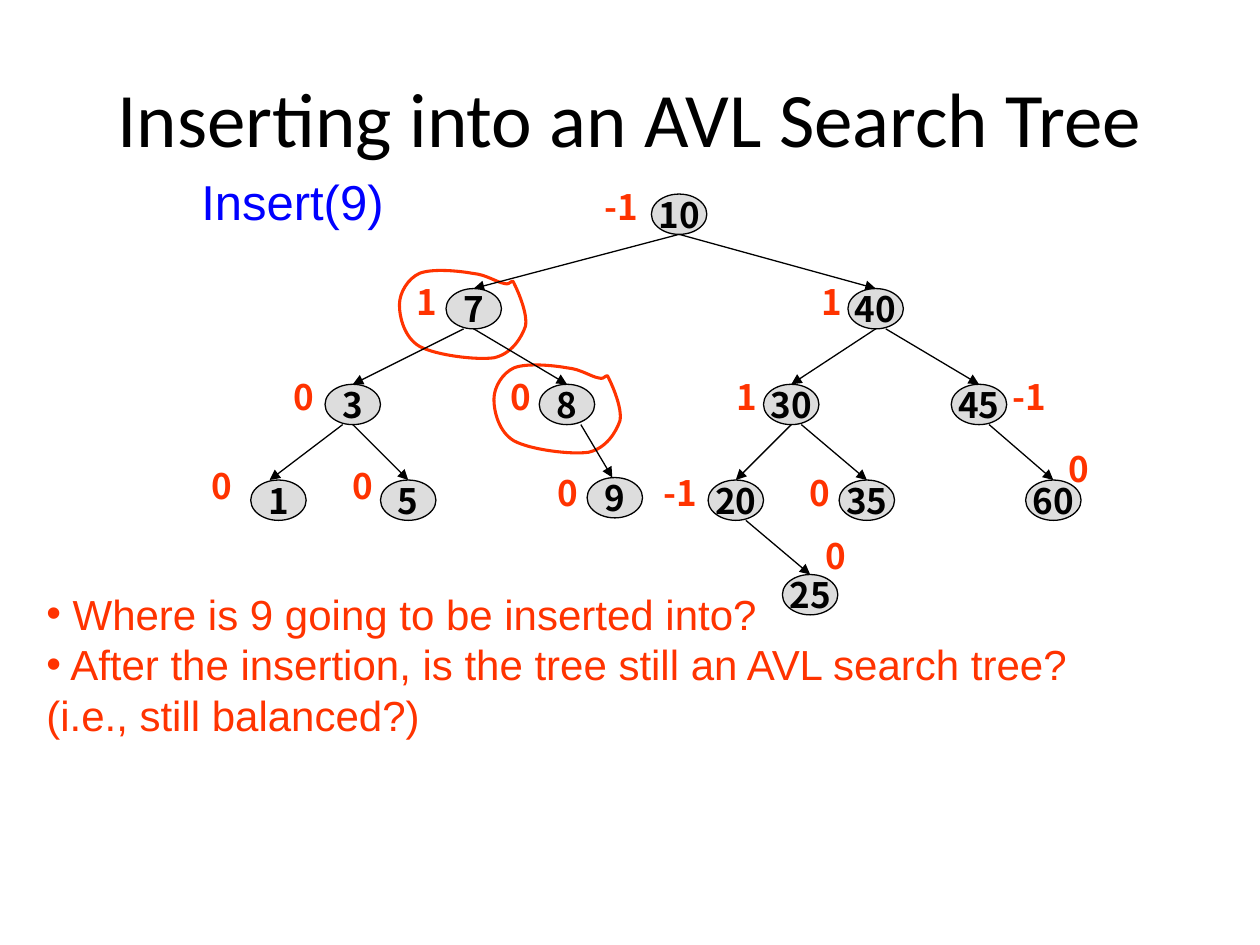
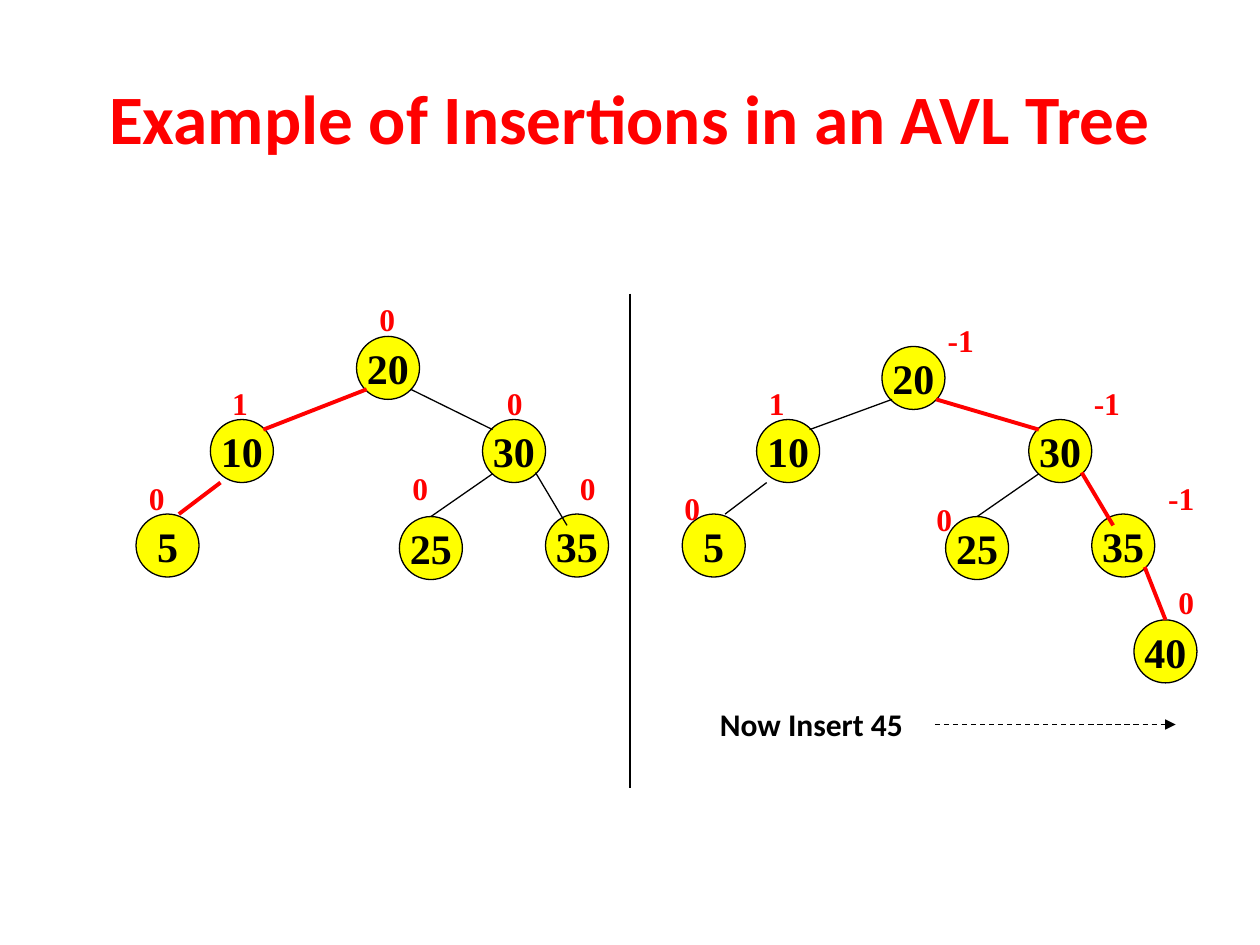
from lxml.etree import SubElement
from pptx import Presentation
from pptx.dml.color import RGBColor
from pptx.enum.dml import MSO_LINE
from pptx.enum.shapes import MSO_CONNECTOR, MSO_SHAPE
from pptx.enum.text import MSO_ANCHOR, PP_ALIGN
from pptx.oxml.ns import qn
from pptx.util import Pt

PX = 9144
BLACK, RED, ORANGE = "000000", "FF0000", "FF3300"
BLUE, GREY, YELLOW = "0000FF", "DDDDDD", "FFFF00"
LEFT, CENTER = PP_ALIGN.LEFT, PP_ALIGN.CENTER

TITLE = {"name": "Calibri", "size": 44, "bold": False, "color": BLACK}
TITLE_RED = {"name": "Calibri", "size": 39.6, "bold": True, "color": RED}
INSERT = {"name": "Arial", "size": 28, "bold": False, "color": BLUE}
QUESTION = {"name": "Arial", "size": 24, "bold": False, "color": ORANGE}
KEY_GREY = {"name": "Noto Sans CJK KR", "size": 20, "bold": True, "color": BLACK}
BALANCE_ORANGE = {**KEY_GREY, "color": ORANGE}
KEY_YELLOW = {"name": "Times New Roman", "size": 24, "bold": True, "color": BLACK}
BALANCE_RED = {**KEY_YELLOW, "size": 18, "color": RED}
NEXT_STEP = {"name": "Calibri", "size": 18, "bold": True, "color": BLACK}

SEARCH_TREE = {
    "10": (517, 154), "7": (354, 229), "40": (673, 229),
    "3": (258, 305), "8": (428, 305), "30": (606, 305), "45": (755, 305),
    "1": (199, 381), "5": (302, 381), "9": (466, 379), "20": (562, 381),
    "35": (666, 381), "60": (814, 381), "25": (621, 456),
}
SEARCH_EDGES = [
    ("10", "7", 0, 0), ("10", "40", 0, 0), ("7", "3", -8, 0), ("7", "8", 0, 0),
    ("40", "30", 0, 0), ("40", "45", 8, 0), ("3", "1", -8, -7), ("3", "5", 0, 0),
    ("8", "9", 11, -2), ("30", "20", 0, 0), ("30", "35", 8, 0),
    ("45", "60", 8, 0), ("20", "25", 8, 0),
]
SEARCH_BALANCES = [
    ("-1", 470, 142), ("1", 321, 218), ("1", 642, 218), ("0", 223, 293),
    ("0", 395, 293), ("1", 575, 293), ("-1", 794, 293), ("0", 158, 364),
    ("0", 270, 364), ("0", 433, 369), ("-1", 517, 369), ("0", 633, 369),
    ("0", 838, 350), ("0", 645, 419),
]
RING_START = (58, 4)
RING_CURVES = [
    ((47, 2), (26, 0), (16, 4)), ((7, 8), (0, 19), (0, 29)),
    ((0, 39), (4, 55), (16, 62)), ((29, 69), (61, 73), (75, 71)),
    ((89, 68), (97, 55), (100, 46)), ((102, 36), (94, 18), (91, 12)),
    ((89, 7), (89, 14), (83, 12)), ((77, 11), (69, 5), (58, 4)),
]
SUBTREES = {"10": (167, 333), "30": (383, 333), "25": (317, 410),
            "35": (433, 408), "5": (108, 408)}
SUBTREE_EDGES = [
    ("20", "10", (-17, 17), (17, -17)), ("20", "30", (18, 17), (-17, -17)),
    ("30", "25", (-17, 18), (0, -25)), ("30", "35", (17, 17), (-8, -16)),
    ("10", "5", (-17, 25), (9, -25)),
]
BEFORE_BALANCES = [("0", 291, 233), ("1", 174, 300), ("0", 392, 300),
                   ("0", 317, 367), ("0", 450, 367), ("0", 108, 375)]
AFTER_BALANCES = [("-1", 742, 250), ("1", 600, 300), ("-1", 858, 300),
                  ("0", 533, 383), ("0", 733, 392), ("-1", 917, 375),
                  ("0", 925, 458)]


def px(value):
    return round(value * PX)


def rgb(color):
    return RGBColor.from_string(color)


def style_font(font, style):
    values = {**style, "size": Pt(style["size"])}
    font.color.rgb = rgb(values.pop("color"))
    for attribute, value in values.items():
        setattr(font, attribute, value)


def write_text(shape, lines, style, align, anchor, wrap):
    frame = shape.text_frame
    frame.word_wrap, frame.vertical_anchor = wrap, anchor
    for index, line in enumerate(lines):
        paragraph = frame.add_paragraph() if index else frame.paragraphs[0]
        paragraph.alignment = align
        run = paragraph.add_run()
        run.text = line
        style_font(run.font, style)
    return frame


def add_text(slide, box, lines, style, align=LEFT, anchor=MSO_ANCHOR.TOP, wrap=True):
    shape = slide.shapes.add_textbox(*map(px, box))
    return write_text(shape, lines, style, align, anchor, wrap)


def add_title(slide, title, style):
    add_text(slide, (50, 30, 900, 125), [title], style, CENTER, MSO_ANCHOR.MIDDLE)


def add_bullets(slide, box, lines, style):
    frame = add_text(slide, box, lines, style)
    for paragraph in frame.paragraphs:
        properties = paragraph._p.get_or_add_pPr()
        SubElement(properties, qn("a:buFont")).set("typeface", style["name"])
        SubElement(properties, qn("a:buChar")).set("char", "•")


def add_line(slide, start, end, color=BLACK, width=0.75, dash=None, arrow=False):
    connector = slide.shapes.add_connector(
        MSO_CONNECTOR.STRAIGHT, *map(px, (*start, *end)))
    connector.line.color.rgb = rgb(color)
    connector.line.width = Pt(width)
    if dash:
        connector.line.dash_style = dash
    if arrow:
        SubElement(connector.line._get_or_add_ln(), qn("a:tailEnd")).set("type", "triangle")
    SubElement(connector._element.spPr, qn("a:effectLst"))


def add_nodes(slide, nodes, size, fill, style):
    for key, position in nodes.items():
        shape = slide.shapes.add_shape(MSO_SHAPE.OVAL, *map(px, (*position, *size)))
        shape.shadow.inherit = False
        shape.fill.solid()
        shape.fill.fore_color.rgb = rgb(fill)
        shape.line.color.rgb = rgb(BLACK)
        shape.line.width = Pt(0.75)
        write_text(shape, [key], style, CENTER, MSO_ANCHOR.MIDDLE, False)


def add_edge(slide, nodes, size, edge, **line):
    parent, child, leave, arrive = edge
    ends = [tuple(corner + side / 2 + shift
                  for corner, side, shift in zip(nodes[key], size, offset))
            for key, offset in ((parent, leave), (child, arrive))]
    add_line(slide, *ends, **line)


def add_balances(slide, balances, widths, height, style, align):
    for balance, left, top in balances:
        box = (left, top, widths[len(balance) - 1], height)
        add_text(slide, box, [balance], style, align, wrap=False)


def curve_segments(shape):
    segments = list(shape._element.iter(qn("a:lnTo")))
    for index in range(0, len(segments), 3):
        first, *others = segments[index:index + 3]
        first.tag = qn("a:cubicBezTo")
        for segment in others:
            first.append(segment[0])
            segment.getparent().remove(segment)


def add_ring(slide, left, top):
    points = [RING_START, *(point for curve in RING_CURVES for point in curve)]
    outline = [(px(left + x), px(top + y)) for x, y in points]
    builder = slide.shapes.build_freeform(*outline[0])
    builder.add_line_segments(outline[1:], close=True)
    ring = builder.convert_to_shape()
    segments = ring._element.findall(".//" + qn("a:lnTo"))
    for segment in segments[len(outline) - 1:]:
        segment.getparent().remove(segment)
    curve_segments(ring)
    ring.shadow.inherit = False
    ring.fill.background()
    ring.line.color.rgb = rgb(ORANGE)
    ring.line.width = Pt(1.75)


def build_search_tree(slide):
    size = (44, 32)
    add_title(slide, "Inserting into an AVL Search Tree", TITLE)
    for left, top in ((392, 288), (317, 213)):
        add_ring(slide, left, top)
    add_text(slide, (150, 131, 165, 57), ["Insert(9)"], INSERT, wrap=False)
    add_balances(slide, SEARCH_BALANCES, (36, 53), 43, BALANCE_ORANGE, LEFT)
    for parent, child, leave, arrive in SEARCH_EDGES:
        edge = (parent, child, (leave, 16), (arrive, -16))
        add_edge(slide, SEARCH_TREE, size, edge, arrow=True)
    add_nodes(slide, SEARCH_TREE, size, GREY, KEY_GREY)
    add_bullets(slide, (27, 462, 890, 170), [
        " Where is 9 going to be inserted into?",
        " After the insertion, is the tree still an AVL search tree? (i.e., still balanced?)",
    ], QUESTION)


def add_insertion(slide, nodes, edges, red_children, balances):
    size = (50, 50)
    add_nodes(slide, nodes, size, YELLOW, KEY_YELLOW)
    for edge in edges:
        line = {"color": RED, "width": 2.25} if edge[1] in red_children else {}
        add_edge(slide, nodes, size, edge, **line)
    add_balances(slide, balances, (33, 41), 40, BALANCE_RED, CENTER)


def build_insertions(slide):
    add_title(slide, "Example of Insertions in an AVL Tree", TITLE_RED)
    before = {"20": (283, 267), **SUBTREES}
    after = {key: (left + 433.5, top) for key, (left, top) in SUBTREES.items()}
    after.update({"20": (700, 275), "40": (900, 492)})
    add_insertion(slide, before, SUBTREE_EDGES, {"10", "5"}, BEFORE_BALANCES)
    new_edge = ("35", "40", (17, 17), (0, -25))
    add_insertion(slide, after, SUBTREE_EDGES + [new_edge], {"30", "35", "40"},
                  AFTER_BALANCES)
    add_text(slide, (548, 555, 192, 40), ["Now Insert 45"], NEXT_STEP, CENTER)
    add_line(slide, (500, 233), (500, 625))
    add_line(slide, (742, 575), (933, 575), dash=MSO_LINE.DASH, arrow=True)


def main():
    presentation = Presentation()
    presentation.slide_width, presentation.slide_height = px(1000), px(750)
    for build in (build_search_tree, build_insertions):
        build(presentation.slides.add_slide(presentation.slide_layouts[6]))
    presentation.save("out.pptx")


if __name__ == "__main__":
    main()
